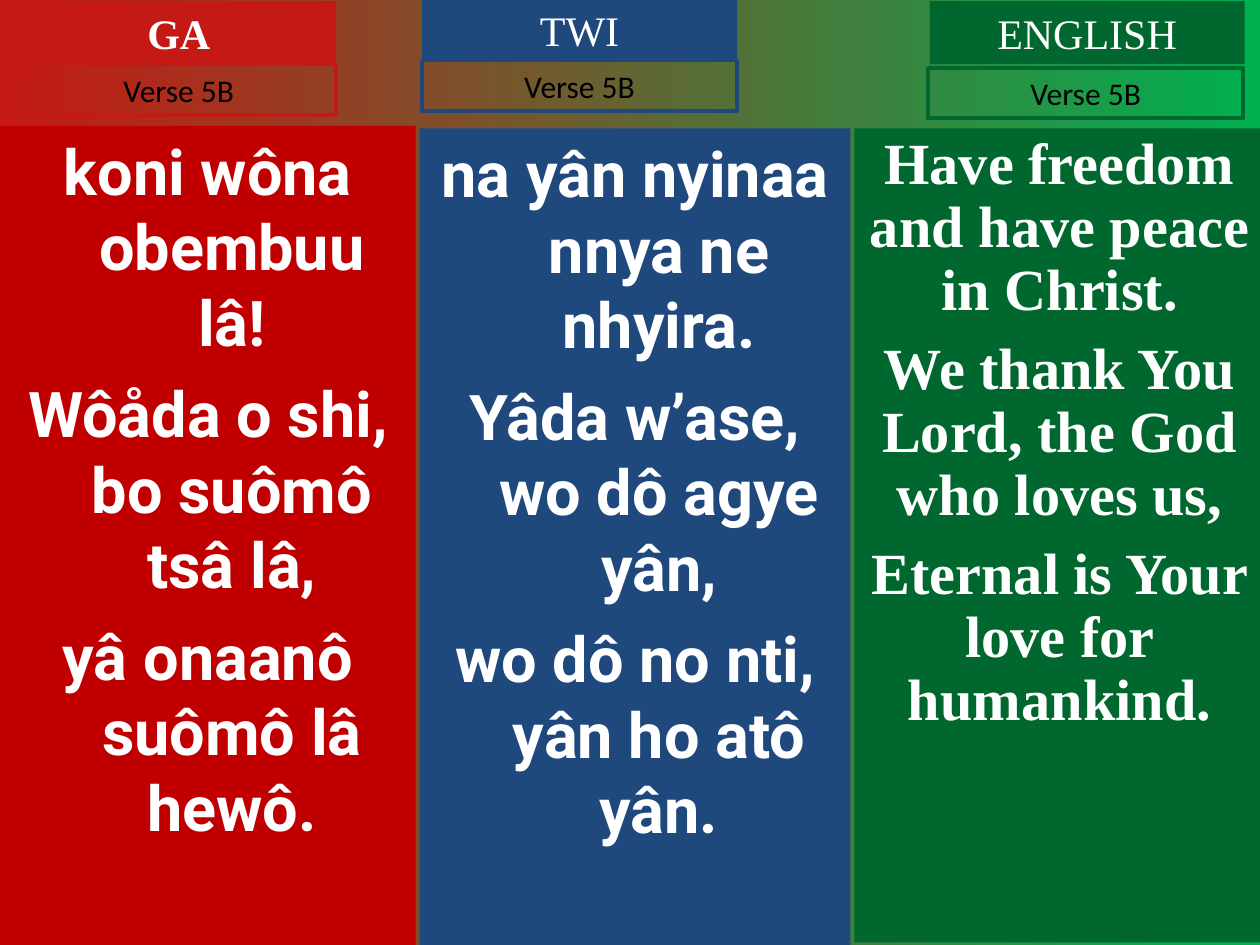
from dataclasses import dataclass

from pptx import Presentation
from pptx.dml.color import RGBColor
from pptx.enum.shapes import MSO_SHAPE
from pptx.enum.text import MSO_ANCHOR, MSO_AUTO_SIZE, PP_ALIGN
from pptx.util import Pt

RECT = MSO_SHAPE.RECTANGLE
TOP = MSO_ANCHOR.TOP
CENTER = PP_ALIGN.CENTER
GROW = MSO_AUTO_SIZE.SHAPE_TO_FIT_TEXT
FIXED = MSO_AUTO_SIZE.NONE


@dataclass(frozen=True)
class Theme:
    """Colours, fonts and type sizes."""
    red: str = "C51915"
    deep: str = "C00000"
    blue: str = "1F497D"
    green: str = "00682F"
    lime: str = "00B050"
    white: str = "FFFFFF"
    black: str = "000000"
    serif: str = "Times New Roman"
    sans: str = "Roboto"
    plain: str = "Calibri"
    head: float = 24
    tag: float = 18
    verse: float = 36
    prose: float = 33.3
    gap: float = 9
    hang: float = 27.4


THEME = Theme()

COLUMNS = [
    dict(
        name="GA", bold=True, fill=THEME.deep, tint=THEME.red,
        font=THEME.sans, size=THEME.verse, hang=THEME.hang, space=None,
        panel=(0, 72, 237.6, 468), head=(12.2, 0.7, 180, 36), tag=(12.2, 36.9, 180, 28.8),
        lines=["koni wôna obembuu lâ!",
               "Wôåda o shi, bo suômô tsâ lâ,",
               "yâ onaanô suômô lâ hewô."],
    ),
    dict(
        name="TWI", bold=False, fill=THEME.blue, tint=THEME.blue,
        font=THEME.sans, size=THEME.verse, hang=THEME.hang, space=None,
        panel=(239.8, 73.4, 246.2, 466.6), head=(241.2, -0.7, 180, 36), tag=(241.2, 34.6, 180, 28.8),
        lines=["na yân nyinaa nnya ne nhyira.",
               "Yâda w’ase, wo dô agye yân,",
               "wo dô no nti, yân ho atô yân."],
    ),
    dict(
        name="ENGLISH", bold=False, fill=THEME.green, tint=THEME.green,
        font=THEME.serif, size=THEME.prose, hang=0, space=0.9,
        panel=(488.2, 73.4, 234.7, 465.1), head=(531.2, 0.7, 180, 36), tag=(530.4, 38.9, 180, 28.8),
        lines=["Have freedom and have peace in Christ.",
               "We thank You Lord, the God who loves us,",
               "Eternal is Your love for humankind."],
    ),
]


def rgb(code):
    """Turn a hex code into a colour."""
    return RGBColor.from_string(code)


def add_box(slide, box, lines, font, size, color, bold=False, fit=GROW):
    """Add a rectangle with centred text and return it."""
    shape = slide.shapes.add_shape(RECT, *map(Pt, box))
    shape.shadow.inherit = False
    shape.fill.background()
    shape.line.fill.background()
    frame = shape.text_frame
    frame.word_wrap = True
    frame.auto_size = fit
    frame.vertical_anchor = TOP
    frame.text = "\n".join(lines)
    for para in frame.paragraphs:
        para.alignment = CENTER
        for run in para.runs:
            run.font.name = font
            run.font.size = Pt(size)
            run.font.bold = bold
            run.font.color.rgb = rgb(color)
    return shape


def fill_box(shape, color):
    """Give a shape a solid fill."""
    shape.fill.solid()
    shape.fill.fore_color.rgb = rgb(color)


def add_panel(slide, col):
    """Add the verse panel of one language."""
    shape = add_box(slide, col["panel"], col["lines"], col["font"], col["size"],
                    THEME.white, True, FIXED)
    fill_box(shape, col["fill"])
    for index, para in enumerate(shape.text_frame.paragraphs):
        if index:
            para.space_before = Pt(THEME.gap)
        if col["space"]:
            para.line_spacing = col["space"]
        if col["hang"]:
            props = para._p.get_or_add_pPr()
            props.set("marL", str(Pt(col["hang"])))
            props.set("indent", str(-Pt(col["hang"])))


def add_head(slide, col):
    """Add the language name."""
    shape = add_box(slide, col["head"], [col["name"]], THEME.serif, THEME.head,
                    THEME.white, col["bold"])
    fill_box(shape, col["tint"])


def add_tag(slide, col):
    """Add the outlined verse label."""
    shape = add_box(slide, col["tag"], ["Verse 5B"], THEME.plain, THEME.tag, THEME.black)
    shape.line.color.rgb = rgb(col["tint"])
    shape.line.width = Pt(2.25)


def paint_back(slide):
    """Fill the background with a red to green gradient."""
    fill = slide.background.fill
    fill.gradient()
    fill.gradient_angle = 0
    for stop, color in zip(fill.gradient_stops, (THEME.red, THEME.lime)):
        stop.color.rgb = rgb(color)


def main():
    """Build and save the slide."""
    deck = Presentation()
    deck.slide_width, deck.slide_height = Pt(720), Pt(540)
    slide = deck.slides.add_slide(deck.slide_layouts[6])
    paint_back(slide)
    for col in COLUMNS:
        add_panel(slide, col)
        add_head(slide, col)
        add_tag(slide, col)
    deck.save("out.pptx")


if __name__ == "__main__":
    main()
